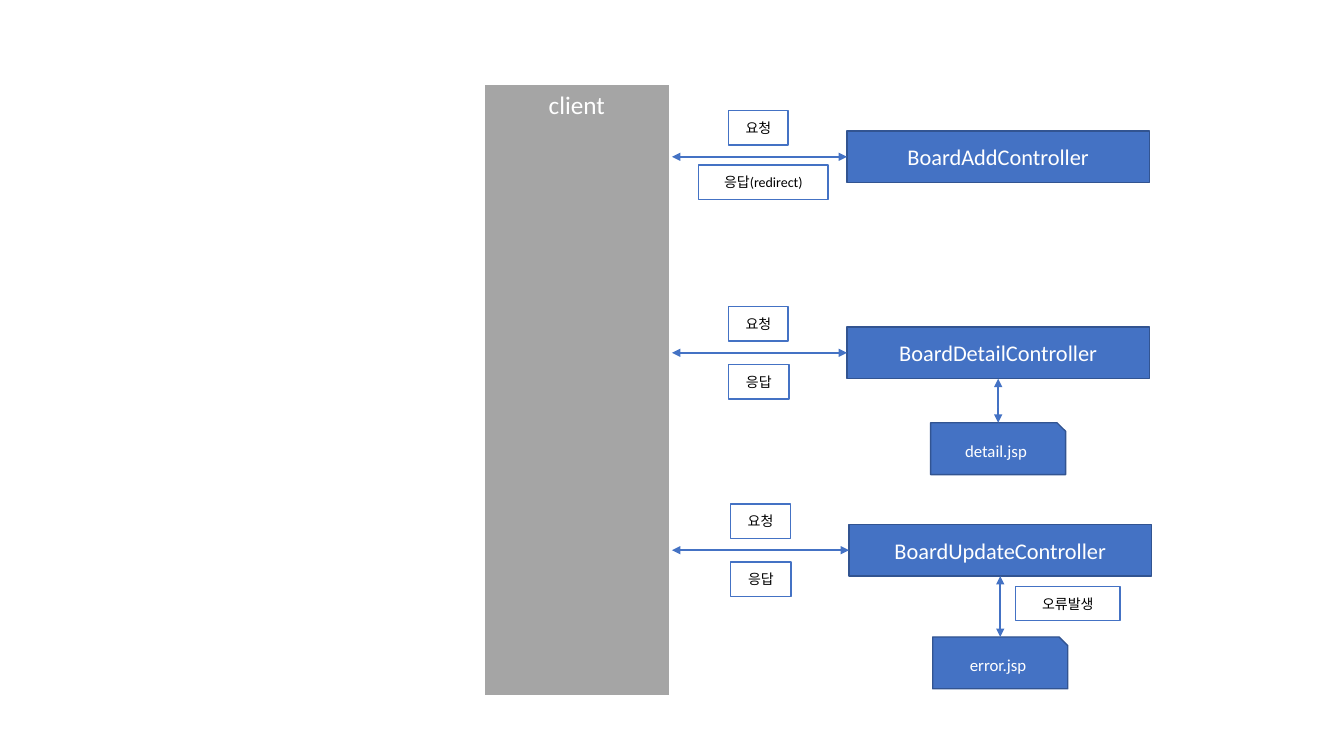
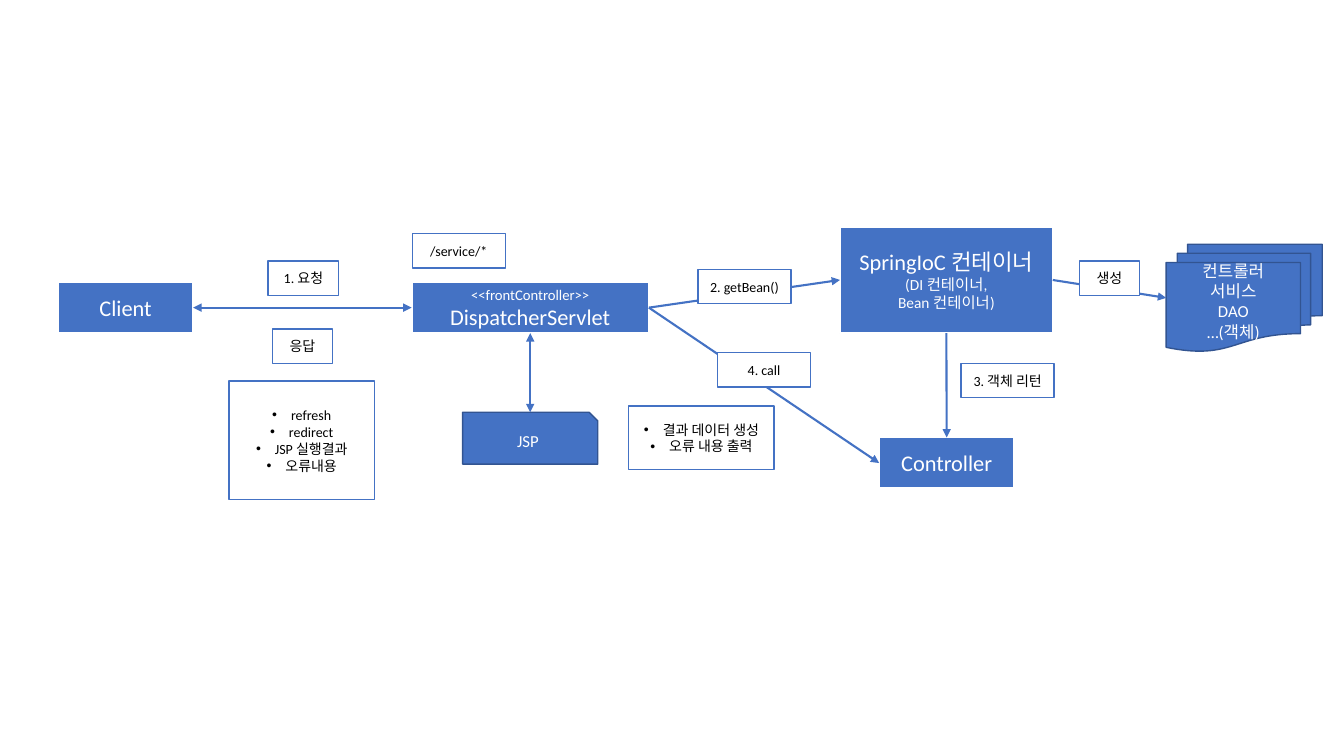
import pptx
import pptx.util
import pptx.dml.color
import pptx.enum.shapes
import pptx.enum.text
import pptx.oxml.ns
from lxml import etree

Pt = pptx.util.Pt
SHAPES = pptx.enum.shapes.MSO_SHAPE
ANCHOR = pptx.enum.text.MSO_ANCHOR

BLUE, DARK_BLUE, GREY = "4472C4", "325491", "A5A5A5"
WHITE, BLACK = "FFFFFF", "000000"
FONT = "Calibri"
PAGE_SIZE = (96.5, 37)
LABEL_HEIGHT = 24.5


def paint(color_format, hex_color):
    color_format.rgb = pptx.dml.color.RGBColor.from_string(hex_color)


def add_xml(parent, tag, **attributes):
    return etree.SubElement(parent, pptx.oxml.ns.qn(tag), attributes)


def write_text(shape, text, size=16, color=WHITE, sizes=None, bullets=False,
               anchor=ANCHOR.MIDDLE):
    """One paragraph per line; sizes gives each line its own size."""
    frame = shape.text_frame
    frame.word_wrap = True
    frame.vertical_anchor = anchor
    lines = text.split("\n")
    for index, line in enumerate(lines):
        paragraph = frame.paragraphs[0] if index == 0 else frame.add_paragraph()
        paragraph.alignment = pptx.enum.text.PP_ALIGN.CENTER
        if bullets:
            properties = paragraph._p.get_or_add_pPr()
            properties.set("marL", str(Pt(13.5)))
            properties.set("indent", str(-Pt(13.5)))
            add_xml(properties, "a:buFont", typeface="Arial")
            add_xml(properties, "a:buChar", char="•")
        run = paragraph.add_run()
        run.text = line
        run.font.name = FONT
        run.font.size = Pt(sizes[index] if sizes else size)
        paint(run.font.color, color)


def add_box(slide, left, top, width, height, text, kind=SHAPES.RECTANGLE,
            fill=BLUE, line=DARK_BLUE, weight=1, **text_format):
    box = slide.shapes.add_shape(kind, Pt(left), Pt(top), Pt(width), Pt(height))
    box.shadow.inherit = False
    box.fill.solid()
    paint(box.fill.fore_color, fill)
    paint(box.line.color, line)
    box.line.width = Pt(weight)
    write_text(box, text, **text_format)
    return box


def add_label(slide, left, top, width, text, height=LABEL_HEIGHT, **text_format):
    return add_box(slide, left, top, width, height, text, fill=WHITE, line=BLUE,
                   size=10, color=BLACK, **text_format)


def add_component(slide, left, top, width, height, text, **text_format):
    return add_box(slide, left, top, width, height, text, line=WHITE,
                   weight=1.5, **text_format)


def add_page(slide, center, top, text):
    width, height = PAGE_SIZE
    return add_box(slide, center - width / 2, top, width, height, text,
                   kind=SHAPES.SNIP_1_RECTANGLE, size=12)


def side(box, name):
    """Middle of one side of a box, in points."""
    across, down = {"left": (0, 0.5), "right": (1, 0.5),
                    "top": (0.5, 0), "bottom": (0.5, 1)}[name]
    return ((box.left + box.width * across) / Pt(1),
            (box.top + box.height * down) / Pt(1))


def add_arrow(slide, start, end, both=False):
    arrow = slide.shapes.add_connector(
        pptx.enum.shapes.MSO_CONNECTOR.STRAIGHT, *map(Pt, start + end))
    paint(arrow.line.color, BLUE)
    arrow.line.width = Pt(1.5)
    outline = arrow.line._get_or_add_ln()
    for tag in ("a:headEnd", "a:tailEnd")[0 if both else 1:]:
        add_xml(outline, tag, type="triangle")
    add_xml(arrow._element.spPr, "a:effectLst")


# Slide 1: one lane per controller, all answering the same client
def add_lane(slide, left, top, name, response="응답", response_width=43,
             response_at=(-84.5, 27), page=None, page_gap=0, error=None):
    controller = add_box(slide, left, top, 216, 37, name)
    end = side(controller, "left")
    add_arrow(slide, (480, end[1]), end, both=True)
    add_label(slide, left - 84.5, top - 14.5, 42.5, "요청")
    add_label(slide, left + response_at[0], top + response_at[1],
              response_width, response)
    if page:
        center, bottom = side(controller, "bottom")
        view = add_page(slide, center, bottom + page_gap, page)
        add_arrow(slide, (center, bottom), side(view, "top"), both=True)
        if error:
            add_label(slide, center + 11, bottom + 7.5, 74.5, error)


def build_request_slide(slide):
    add_component(slide, 345.5, 60, 133, 437, "client", size=18,
                  anchor=ANCHOR.TOP).fill.fore_color.rgb = \
        pptx.dml.color.RGBColor.from_string(GREY)
    add_lane(slide, 605, 93.5, "BoardAddController", response="응답(redirect)",
             response_width=92.5, response_at=(-106, 24.5))
    add_lane(slide, 605, 233.5, "BoardDetailController", page="detail.jsp",
             page_gap=31.5)
    add_lane(slide, 606.5, 374.5, "BoardUpdateController", page="error.jsp",
             page_gap=43.5, error="오류발생")


# Slide 2: front controller and container
def build_container_slide(slide):
    # Components
    client = add_component(slide, 41.5, 201.5, 96.5, 36.5, "Client")
    dispatcher = add_component(slide, 294, 201.5, 169.5, 36.5,
                               "<<frontController>>\nDispatcherServlet",
                               sizes=(10.5, 16))
    container = add_component(slide, 600, 162, 152, 76,
                              "SpringIoC 컨테이너\n(DI 컨테이너,\nBean 컨테이너)",
                              sizes=(16, 11, 11))
    controller = add_component(slide, 628, 312.5, 96.5, 36.5, "Controller")
    objects = add_box(slide, 833, 174.5, 111.5, 76.5,
                      "컨트롤러\n서비스\nDAO\n…(객체)",
                      kind=SHAPES.FLOWCHART_MULTIDOCUMENT, size=12)
    objects.text_frame.margin_bottom = Pt(9)
    dispatcher_center = side(dispatcher, "bottom")[0]
    view = add_page(slide, dispatcher_center, 294.5, "JSP")

    # Flow
    for origin, exit_side, target, entry_side, both in (
            (client, "right", dispatcher, "left", True),
            (dispatcher, "bottom", view, "top", True),
            (dispatcher, "right", container, "left", False),
            (dispatcher, "right", controller, "left", False),
            (container, "bottom", controller, "top", False),
            (container, "right", objects, "left", False)):
        add_arrow(slide, side(origin, exit_side), side(target, entry_side), both)

    # Step labels
    for left, top, width, text in (
            (191.5, 186.5, 50.5, "1. 요청"),
            (194.5, 235, 43, "응답"),
            (294.5, 167, 66.5, "/service/*"),
            (498.5, 192.5, 66.5, "2. getBean()"),
            (686.5, 259.5, 66.5, "3. 객체 리턴"),
            (512.5, 252, 66.5, "4. call"),
            (771, 186.5, 43, "생성")):
        add_label(slide, left, top, width, text)

    # Result lists
    add_label(slide, 163.5, 272, 104, "refresh\nredirect\nJSP 실행결과\n오류내용",
              height=85, bullets=True)
    add_label(slide, 449, 290, 104, "결과 데이터 생성\n오류 내용 출력",
              height=45.5, bullets=True)


def main():
    deck = pptx.Presentation()
    deck.slide_width, deck.slide_height = Pt(960), Pt(540)
    for build in (build_request_slide, build_container_slide):
        build(deck.slides.add_slide(deck.slide_layouts[6]))
    deck.save("out.pptx")


if __name__ == "__main__":
    main()
